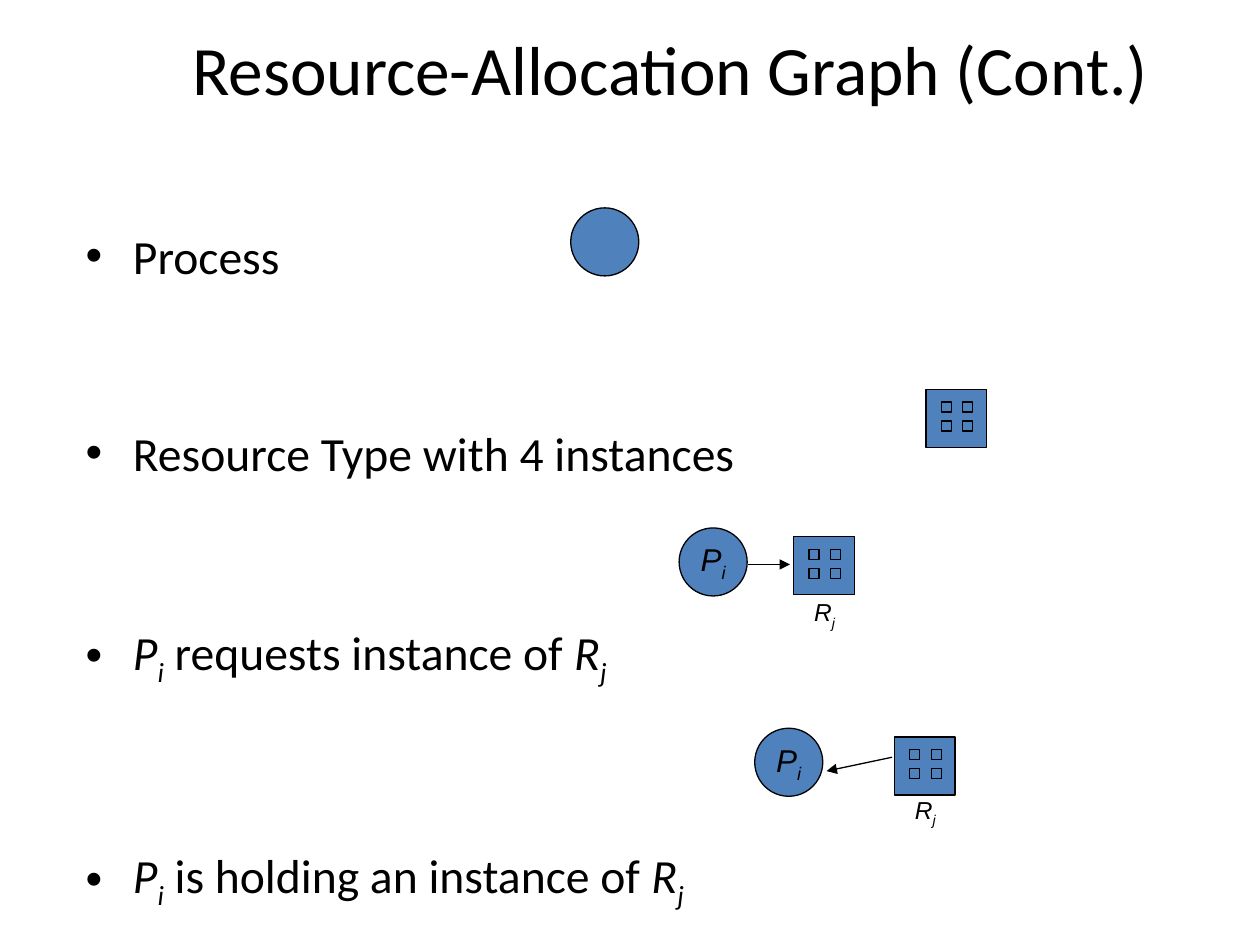
import pptx
import pptx.util
import pptx.dml.color
import pptx.enum.shapes
import pptx.enum.text
from lxml import etree
from pptx.oxml.ns import qn

HUES = {"ink": "000000", "node": "4F81BD"}
KIND = pptx.enum.shapes.MSO_SHAPE
ALIGN = pptx.enum.text.PP_ALIGN
ANCHOR = pptx.enum.text.MSO_ANCHOR
FIT = pptx.enum.text.MSO_AUTO_SIZE


def inch(*nums):
    """Turn numbers into lengths."""
    return [pptx.util.Inches(n) for n in nums]


def hue(name):
    """Look up a colour by name."""
    return pptx.dml.color.RGBColor.from_string(HUES[name])


def write(par, text, size=27.2, font="Calibri", slant=False, base=0):
    """Add one run of text with its format."""
    run = par.add_run()
    run.text = text
    run.font.size = pptx.util.Pt(size)
    run.font.name = font
    run.font.italic = slant
    run.font.color.rgb = hue("ink")
    if base:
        run.font._element.set("baseline", str(base * 1000))


def symbol(par, name, **form):
    """Write a letter with its subscript, both slanted."""
    write(par, name[0], slant=True, **form)
    write(par, name[1], slant=True, base=-25, **form)


class Page:
    """Holds the style and the current slide."""

    disc, box, cell = 0.54, (0.48, 0.46), 0.08
    line = 0.75

    def __init__(self, deck):
        """Add a slide with a title and a body."""
        self.slide = deck.slides.add_slide(deck.slide_layouts[1])
        self.shapes = self.slide.shapes

    def place(self, shape, at, anchor):
        """Move a placeholder and return its text frame."""
        shape.left, shape.top, shape.width, shape.height = inch(*at)
        frame = shape.text_frame
        frame.auto_size = FIT.NONE
        frame.vertical_anchor = anchor
        return frame

    def title(self, text, at):
        """Fill the title."""
        par = self.place(self.shapes.title, at, ANCHOR.MIDDLE).paragraphs[0]
        par.alignment = ALIGN.CENTER
        write(par, text, size=39.6)

    def body(self, items, at):
        """Fill the list; each item is a gap above and its parts."""
        frame = self.place(self.slide.placeholders[1], at, ANCHOR.TOP)
        for num, (gap, parts) in enumerate(items):
            par = frame.add_paragraph() if num else frame.paragraphs[0]
            par.space_before = pptx.util.Pt(gap)
            for part in parts:
                (symbol if len(part) == 2 else write)(par, part)

    def label(self, shape, name, size):
        """Centre a symbol in a shape."""
        frame = shape.text_frame
        frame.word_wrap = False
        frame.vertical_anchor = ANCHOR.MIDDLE
        par = frame.paragraphs[0]
        par.alignment = ALIGN.CENTER
        symbol(par, name, size=size, font="Arial")

    def node(self, home, kind, *at):
        """Draw a filled and outlined shape."""
        shape = home.add_shape(kind, *inch(*at))
        shape.shadow.inherit = False
        shape.fill.solid()
        shape.fill.fore_color.rgb = hue("node")
        shape.line.color.rgb = hue("ink")
        shape.line.width = pptx.util.Pt(self.line)
        return shape

    def process(self, left, top, name=None):
        """Draw a process as a circle."""
        disc = self.node(self.shapes, KIND.OVAL, left, top, self.disc, self.disc)
        if name:
            self.label(disc, name, 18)

    def resource(self, left, top):
        """Draw a resource type with four instances."""
        home = self.shapes.add_group_shape().shapes
        self.node(home, KIND.RECTANGLE, left, top, *self.box)
        for row in range(2):
            for col in range(2):
                self.node(home, KIND.RECTANGLE, left + 0.12 + col * 0.17,
                          top + 0.1 + row * 0.15, self.cell, self.cell)

    def caption(self, name, left, top):
        """Put a symbol under a resource."""
        box = self.shapes.add_textbox(*inch(left, top, 0.37, 0.33))
        self.label(box, name, 14)

    def arrow(self, *ends):
        """Draw an arrow from one point to another."""
        kind = pptx.enum.shapes.MSO_CONNECTOR.STRAIGHT
        link = self.shapes.add_connector(kind, *inch(*ends))
        link.line.color.rgb = hue("ink")
        link.line.width = pptx.util.Pt(self.line)
        tip = etree.SubElement(link.line._get_or_add_ln(), qn("a:tailEnd"))
        tip.set("type", "triangle")
        etree.SubElement(link._element.spPr, qn("a:effectLst"))


def main():
    """Build and save the slide."""
    deck = pptx.Presentation()
    deck.slide_width, deck.slide_height = inch(10, 7.5)
    page = Page(deck)
    page.title("Resource-Allocation Graph (Cont.)", (1.14, 0.22, 8.36, 0.63))
    page.body([
        (0, ["Process"]),
        (80, ["Resource Type with 4 instances"]),
        (81, ["Pi", " requests instance of ", "Rj"]),
        (90.5, ["Pi", " is holding an instance of ", "Rj"]),
    ], (0.58, 1.75, 9, 4.95))

    page.process(4.53, 1.65)
    page.resource(7.35, 3.09)

    page.process(5.39, 4.19, "Pi")
    page.resource(6.3, 4.26)
    page.arrow(5.94, 4.48, 6.27, 4.48)
    page.caption("Rj", 6.36, 4.71)

    page.process(5.99, 5.78, "Pi")
    page.resource(7.1, 5.85)
    page.arrow(7.08, 6.01, 6.56, 6.12)
    page.caption("Rj", 7.16, 6.28)
    deck.save("out.pptx")


main()
